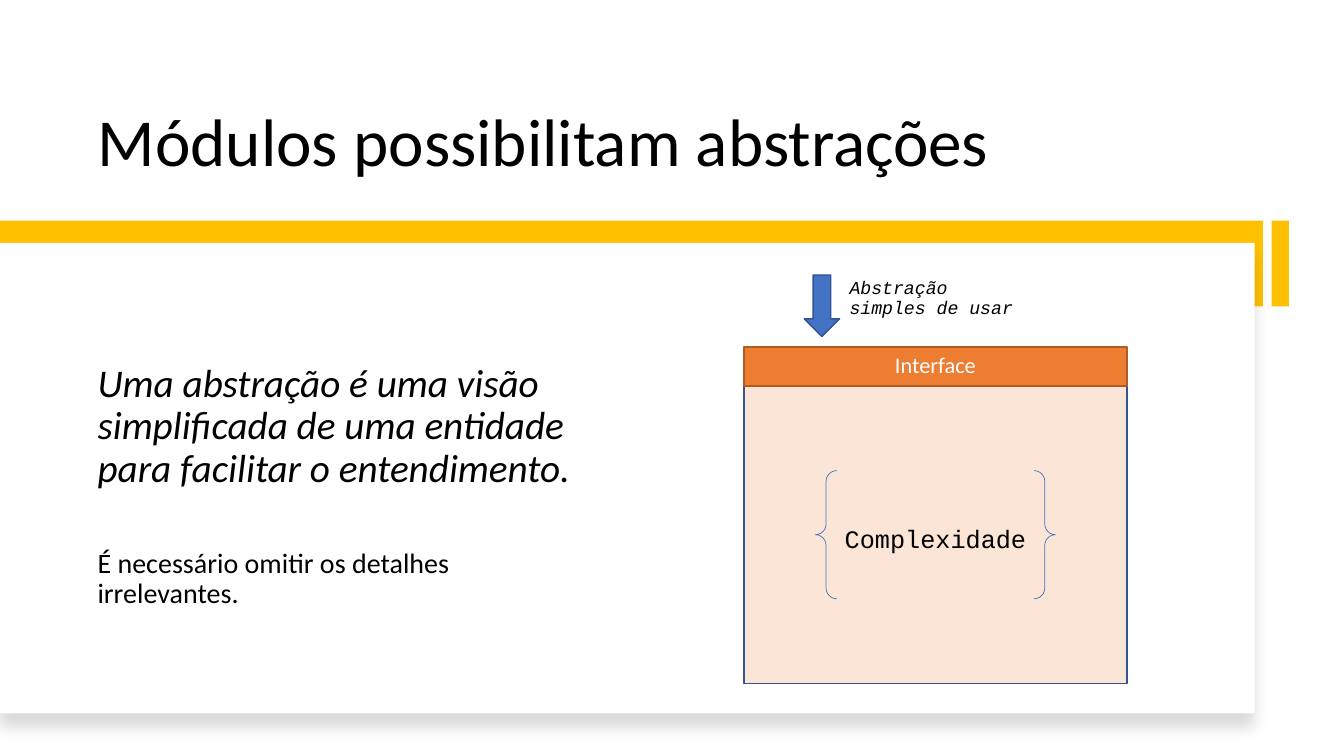
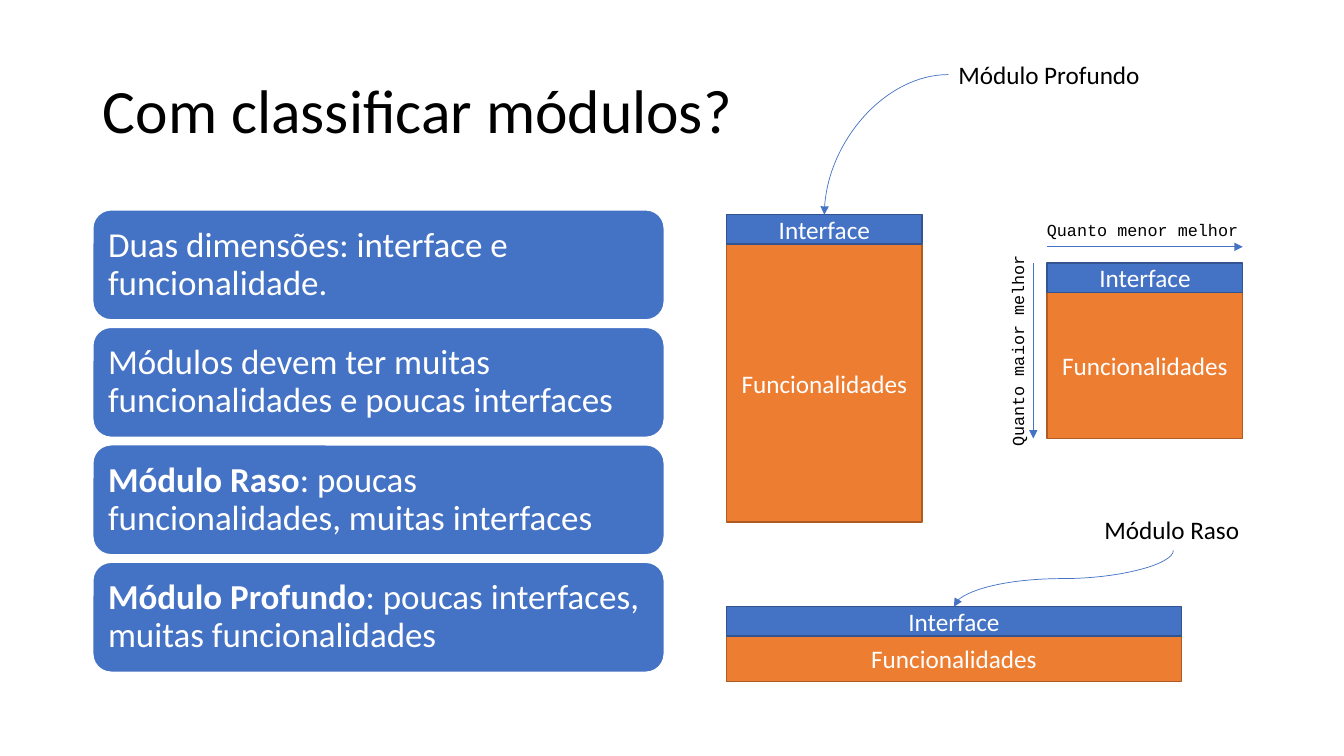
import pptx
import pptx.dml.color
import pptx.enum.shapes
import pptx.enum.text
import pptx.oxml.ns
import pptx.util
from lxml import etree

Cm = pptx.util.Cm
Pt = pptx.util.Pt
qn = pptx.oxml.ns.qn
PRESET = pptx.enum.shapes.MSO_SHAPE
CONNECTOR = pptx.enum.shapes.MSO_CONNECTOR
ALIGN = pptx.enum.text.PP_ALIGN
ANCHOR = pptx.enum.text.MSO_ANCHOR

BLACK, WHITE, GOLD = "000000", "FFFFFF", "FFC000"
BLUE, BLUE_EDGE = "4472C4", "325491"
ORANGE, ORANGE_EDGE, PEACH = "ED7D31", "AF5C24", "FBE5D6"
SANS, MONO = "Calibri", "Courier New"
INTERFACE_HEIGHT = 0.74


def rgb(value):
    return pptx.dml.color.RGBColor.from_string(value)


def write(target, text, size=18, font=SANS, color=BLACK, bold=False, italic=False,
          align=ALIGN.LEFT, anchor=ANCHOR.MIDDLE, spacing=1.0, before=0, wrap=True):
    frame = target.text_frame
    frame.word_wrap = wrap
    frame.auto_size = pptx.enum.text.MSO_AUTO_SIZE.NONE
    frame.vertical_anchor = anchor
    paragraph = frame.paragraphs[0]
    if paragraph.runs:
        paragraph = frame.add_paragraph()
    paragraph.alignment = align
    paragraph.line_spacing = spacing
    paragraph.space_before = Pt(before)
    runs = [(text, bold)] if isinstance(text, str) else text
    for words, heavy in runs:
        for index, line in enumerate(words.split("\n")):
            if index:
                paragraph.add_line_break()
            run = paragraph.add_run()
            run.text = line
            run.font.name = font
            run.font.size = Pt(size)
            run.font.bold = heavy
            run.font.italic = italic
            run.font.color.rgb = rgb(color)


def block(slide, box, fill=None, edge=None, preset=PRESET.RECTANGLE, weight=1):
    shape = slide.shapes.add_shape(preset, *map(Cm, box))
    shape.shadow.inherit = False
    if fill:
        shape.fill.solid()
        shape.fill.fore_color.rgb = rgb(fill)
    else:
        shape.fill.background()
    if edge:
        shape.line.color.rgb = rgb(edge)
        shape.line.width = Pt(weight)
    else:
        shape.line.fill.background()
    return shape


def label(slide, box, text, **style):
    area = slide.shapes.add_textbox(*map(Cm, box))
    write(area, text, **style)
    return area


def arrow(slide, start, end, kind=CONNECTOR.STRAIGHT):
    line = slide.shapes.add_connector(kind, *map(Cm, start + end))
    line.line.color.rgb = rgb(BLUE)
    line.line.width = Pt(0.5)
    properties = line.element.spPr
    etree.SubElement(properties.get_or_add_ln(), qn("a:tailEnd"), type="triangle")
    etree.SubElement(properties, qn("a:effectLst"))
    return line


def quarter_curve(slide, start, end):
    curve = arrow(slide, start, end, CONNECTOR.CURVE)
    curve.element.spPr.find(qn("a:prstGeom")).set("prst", "curvedConnector2")
    return curve


def falling_curve(slide, start, end):
    middle_x, middle_y = (start[0] + end[0]) / 2, (start[1] + end[1]) / 2
    half_x, half_y = (end[0] - start[0]) / 2, (end[1] - start[1]) / 2
    curve = arrow(slide, (middle_x - half_y, middle_y + half_x),
                  (middle_x + half_y, middle_y - half_x), CONNECTOR.CURVE)
    curve.element.spPr.find(qn("a:xfrm")).set("rot", "5400000")


def soft_shadow(shape):
    effects = shape.element.spPr.find(qn("a:effectLst"))
    shadow = etree.SubElement(effects, qn("a:outerShdw"), blurRad=str(Pt(11)),
                              dist=str(Pt(10)), dir="5400000", algn="t", rotWithShape="0")
    tint = etree.SubElement(shadow, qn("a:srgbClr"), val=BLACK)
    etree.SubElement(tint, qn("a:alpha"), val="15000")


def titled_slide(deck, text, box, size, anchor):
    slide = deck.slides.add_slide(deck.slide_layouts[5])
    title = slide.shapes.title
    title.left, title.top, title.width, title.height = map(Cm, box)
    write(title, text, size=size, anchor=anchor, spacing=0.9)
    return slide


def module(slide, left, top, width, depth):
    features = block(slide, (left, top + INTERFACE_HEIGHT, width, depth), ORANGE, ORANGE_EDGE)
    interface = block(slide, (left, top, width, INTERFACE_HEIGHT), BLUE, BLUE_EDGE)
    for part, name in ((features, "Funcionalidades"), (interface, "Interface")):
        write(part, name, color=WHITE, align=ALIGN.CENTER)
    return interface


def abstraction_slide(deck):
    slide = titled_slide(deck, "Módulos possibilitam abstrações",
                         (2.21, 1.07, 27.97, 3.61), 48, ANCHOR.BOTTOM)
    block(slide, (0, 5.56, 31.83, 2.16), GOLD)
    soft_shadow(block(slide, (0, 6.12, 31.62, 11.86), WHITE))
    block(slide, (32.05, 5.56, 0.43, 2.16), GOLD)

    definition = label(
        slide, (2.21, 7.21, 12.6, 10.11),
        "Uma abstração é uma visão simplificada de uma entidade para facilitar o entendimento.",
        size=28, italic=True, spacing=0.9)
    write(definition, "É necessário omitir os detalhes irrelevantes.",
          size=20, spacing=0.9, before=42)

    block(slide, (18.75, 9.73, 9.65, 7.49), PEACH, BLUE_EDGE)
    interface = block(slide, (18.75, 8.74, 9.65, 0.99), ORANGE, ORANGE_EDGE)
    write(interface, "Interface", size=16, color=WHITE, align=ALIGN.CENTER, spacing=0.9)
    complexity = block(slide, (20.55, 11.86, 6.05, 3.23), edge=BLUE,
                       preset=PRESET.DOUBLE_BRACE, weight=0.5)
    write(complexity, "Complexidade", font=MONO, align=ALIGN.CENTER, spacing=0.9)
    block(slide, (20.27, 6.93, 0.89, 1.55), BLUE, BLUE_EDGE, PRESET.DOWN_ARROW)
    label(slide, (21.16, 6.91, 4.65, 1.35), "Abstração\nsimples de usar", size=13,
          font=MONO, italic=True, anchor=ANCHOR.TOP, spacing=0.9, wrap=False)


def classification_slide(deck):
    slide = titled_slide(deck, "Com classificar módulos?",
                         (2.34, 1.02, 29.21, 3.68), 44, ANCHOR.MIDDLE)
    statements = (
        "Duas dimensões: interface e funcionalidade.",
        "Módulos devem ter muitas funcionalidades e poucas interfaces",
        (("Módulo Raso", True), (": poucas funcionalidades, muitas interfaces", False)),
        (("Módulo Profundo", True), (": poucas interfaces, muitas funcionalidades", False)),
    )
    for row, statement in enumerate(statements):
        card = block(slide, (2.34, 5.29 + 2.96 * row, 14.4, 2.77), BLUE, WHITE,
                     PRESET.ROUNDED_RECTANGLE)
        write(card, statement, size=25, color=WHITE, spacing=0.9)

    deep = module(slide, 18.31, 5.41, 4.93, 7.01)
    module(slide, 18.31, 15.29, 11.46, 1.14)
    module(slide, 26.39, 6.63, 4.93, 3.68)

    label(slide, (27.58, 12.83, 3.96, 1.02), "Módulo Raso", anchor=ANCHOR.TOP, wrap=False)
    deep_name = label(slide, (23.9, 1.37, 5.13, 1.02), "Módulo Profundo",
                      anchor=ANCHOR.TOP, wrap=False)
    deep_pointer = quarter_curve(slide, (23.9, 1.88), (20.78, 5.41))
    deep_pointer.begin_connect(deep_name, 1)
    deep_pointer.end_connect(deep, 0)
    falling_curve(slide, (29.57, 13.87), (24.04, 15.29))

    arrow(slide, (26.39, 6.22), (31.32, 6.22))
    arrow(slide, (26.04, 6.63), (26.04, 11.05))
    axes = (("Quanto menor melhor", 26.04, 5.41, 0), ("Quanto maior melhor", 22.89, 8.46, 270))
    for text, left, top, angle in axes:
        axis = label(slide, (left, top, 5.51, 0.76), text, size=12, font=MONO,
                     align=ALIGN.CENTER, anchor=ANCHOR.TOP)
        axis.rotation = angle


def main():
    deck = pptx.Presentation()
    deck.slide_width, deck.slide_height = Cm(33.87), Cm(19.05)
    abstraction_slide(deck)
    classification_slide(deck)
    deck.save("out.pptx")


if __name__ == "__main__":
    main()
